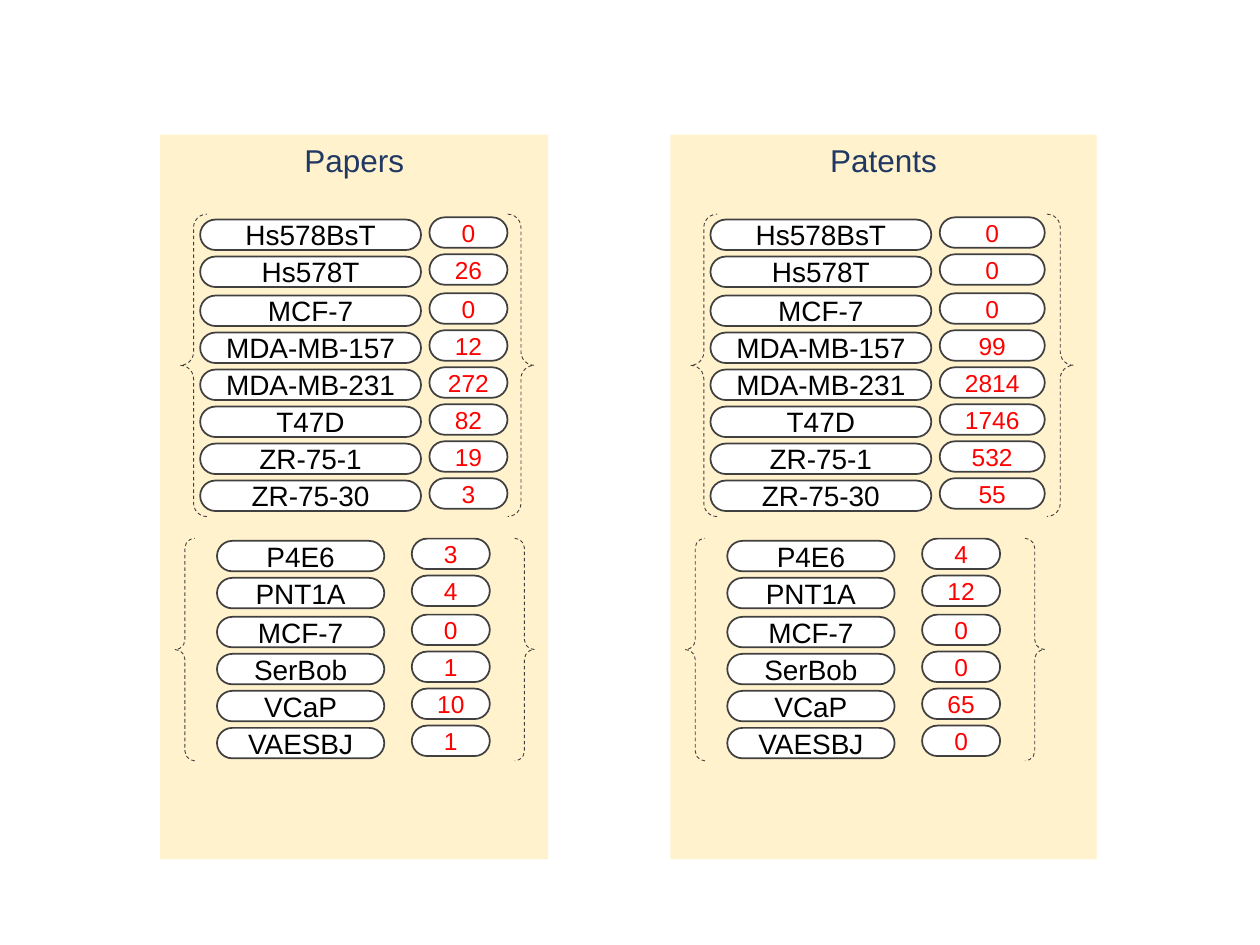
from pptx import Presentation
from pptx.dml.color import RGBColor
from pptx.enum.dml import MSO_LINE
from pptx.enum.shapes import MSO_SHAPE as Shape
from pptx.enum.text import MSO_ANCHOR as Anchor, PP_ALIGN as Align
from pptx.util import Pt

CREAM = RGBColor(0xFF, 0xF2, 0xCC)
NAVY = RGBColor(0x20, 0x38, 0x64)
GRAY = RGBColor(0x40, 0x40, 0x40)
WHITE = RGBColor(0xFF, 0xFF, 0xFF)
BLACK = RGBColor(0, 0, 0)
RED = RGBColor(0xFF, 0, 0)

PANEL_TOP, PANEL_HEIGHT = 77, 414
PILL_HEIGHT, ROW_PITCH = 17.4, 21.14
EXTRA_GAP = 1.15
COUNT_RISE = 1.3

BREAST_LINES = ["Hs578BsT", "Hs578T", "MCF-7", "MDA-MB-157",
                "MDA-MB-231", "T47D", "ZR-75-1", "ZR-75-30"]
PROSTATE_LINES = ["P4E6", "PNT1A", "MCF-7", "SerBob", "VCaP", "VAESBJ"]

PANELS = [
    dict(title="Papers", left=91.5, width=221.8,
         brace_widths=[202.3, 205.2], count_widths=[44.6, 44.6],
         counts=[[0, 26, 0, 12, 272, 82, 19, 3], [3, 4, 0, 1, 10, 1]]),
    dict(title="Patents", left=383.1, width=243.6,
         brace_widths=[218.9, 205.2], count_widths=[60, 44.6],
         counts=[[0, 0, 0, 99, 2814, 1746, 532, 55], [4, 12, 0, 0, 65, 0]]),
]

BLOCKS = [
    dict(names=BREAST_LINES, brace=(11.5, 122.4, 172.8),
         name_left=22.9, name_width=126.2, count_left=153.9, top=125.5),
    dict(names=PROSTATE_LINES, brace=(8.6, 307.6, 127.2),
         name_left=32.5, name_width=95.6, count_left=143.8, top=309.1),
]


def add_label(shapes, kind, text, left, top, width, height, *, fill, size, color,
              line=None, anchor=Anchor.MIDDLE, margin=0):
    shape = shapes.add_shape(kind, Pt(left), Pt(top), Pt(width), Pt(height))
    shape.shadow.inherit = False
    shape.fill.solid()
    shape.fill.fore_color.rgb = fill
    if line is None:
        shape.line.fill.background()
    else:
        shape.line.color.rgb = line
        shape.line.width = Pt(1)
    if kind == Shape.ROUNDED_RECTANGLE:
        shape.adjustments[0] = 0.5
    frame = shape.text_frame
    frame.word_wrap = True
    frame.vertical_anchor = anchor
    frame.margin_left = frame.margin_right = Pt(margin)
    frame.margin_top = frame.margin_bottom = Pt(margin)
    paragraph = frame.paragraphs[0]
    paragraph.alignment = Align.CENTER
    run = paragraph.add_run()
    run.text = text
    run.font.name = "Arial"
    run.font.size = Pt(size)
    run.font.color.rgb = color


presentation = Presentation()
presentation.slide_width, presentation.slide_height = Pt(720), Pt(540)
slide = presentation.slides.add_slide(presentation.slide_layouts[6])

for panel in PANELS:
    left = panel["left"]
    add_label(slide.shapes, Shape.RECTANGLE, panel["title"],
              left, PANEL_TOP, panel["width"], PANEL_HEIGHT,
              fill=CREAM, size=18, color=NAVY, anchor=Anchor.TOP, margin=3.6)

    for block, brace_width, count_width, counts in zip(
            BLOCKS, panel["brace_widths"], panel["count_widths"], panel["counts"]):
        brace_left, brace_top, brace_height = block["brace"]
        brace = slide.shapes.add_shape(
            Shape.DOUBLE_BRACE, Pt(left + brace_left), Pt(brace_top),
            Pt(brace_width), Pt(brace_height))
        brace.shadow.inherit = False
        brace.adjustments[0] = 0.044
        brace.fill.background()
        brace.line.color.rgb = GRAY
        brace.line.width = Pt(0.5)
        brace.line.dash_style = MSO_LINE.DASH

        name_group = slide.shapes.add_group_shape()
        count_group = slide.shapes.add_group_shape()
        for row, (name, count) in enumerate(zip(block["names"], counts)):
            top = block["top"] + row * ROW_PITCH + (EXTRA_GAP if row >= 2 else 0)
            add_label(name_group.shapes, Shape.ROUNDED_RECTANGLE, name,
                      left + block["name_left"], top, block["name_width"], PILL_HEIGHT,
                      fill=WHITE, line=GRAY, size=16, color=BLACK)
            add_label(count_group.shapes, Shape.ROUNDED_RECTANGLE, str(count),
                      left + block["count_left"], top - COUNT_RISE, count_width, PILL_HEIGHT,
                      fill=WHITE, line=GRAY, size=14, color=RED)

presentation.save("out.pptx")
